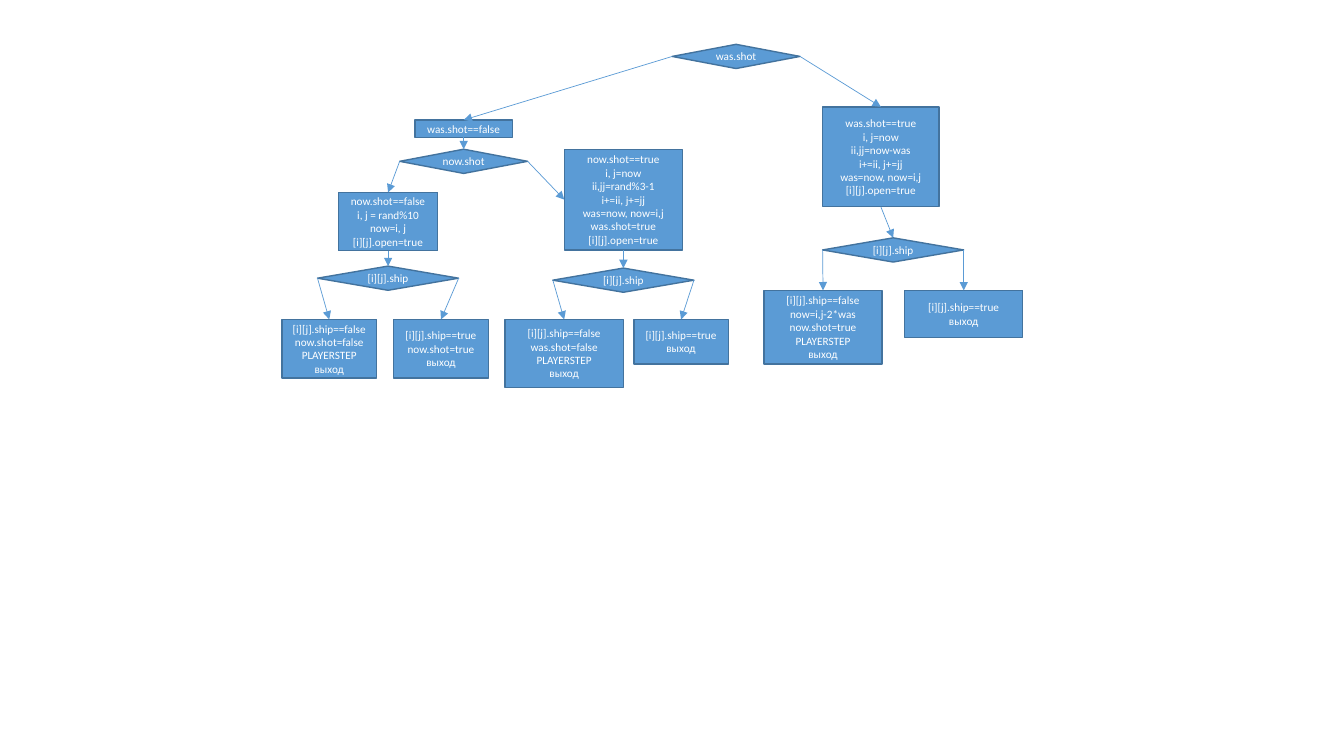
from lxml import etree
from pptx import Presentation
from pptx.dml.color import RGBColor
from pptx.enum.shapes import MSO_CONNECTOR, MSO_SHAPE
from pptx.enum.text import MSO_ANCHOR, PP_ALIGN
from pptx.oxml.ns import qn
from pptx.util import Pt

PROCESS = MSO_SHAPE.FLOWCHART_PROCESS
DECISION = MSO_SHAPE.FLOWCHART_DECISION
STRAIGHT = MSO_CONNECTOR.STRAIGHT
CENTER = PP_ALIGN.CENTER
MIDDLE = MSO_ANCHOR.MIDDLE
TOP, LEFT, BOTTOM, RIGHT = range(4)

BLUE, DARK_BLUE, WHITE = "5B9BD5", "43739E", "FFFFFF"
DECISION_HEIGHT = 17.3
SHOT_WIDTH, SHIP_WIDTH = 91.4, 100.8
WIDE, NARROW = 84.4, 67.5
LEAF_TOP, RIGHT_LEAF_TOP = 228.2, 207.4


def color(hex_string):
    """Return the colour for a hex string."""
    return RGBColor.from_string(hex_string)


def write_text(frame, text, size=8, font="Calibri", ink=WHITE, align=CENTER):
    """Fill a text frame with one paragraph for each line of text."""
    frame.word_wrap = True
    frame.vertical_anchor = MIDDLE
    for number, line in enumerate(text.split("\n")):
        paragraph = frame.add_paragraph() if number else frame.paragraphs[0]
        paragraph.alignment = align
        run = paragraph.add_run()
        run.text = line
        run.font.size = Pt(size)
        run.font.name = font
        run.font.color.rgb = color(ink)


def add_node(slide, kind, text, center, top, width, height):
    """Add a flowchart node placed by its horizontal centre and its top."""
    node = slide.shapes.add_shape(
        kind, Pt(center - width / 2), Pt(top), Pt(width), Pt(height))
    node.shadow.inherit = False
    node.fill.solid()
    node.fill.fore_color.rgb = color(BLUE)
    node.line.color.rgb = color(DARK_BLUE)
    node.line.width = Pt(1)
    write_text(node.text_frame, text)
    return node


def add_step(slide, text, center, top, width, height):
    """Add a process box."""
    return add_node(slide, PROCESS, text, center, top, width, height)


def add_decision(slide, text, center, top, width):
    """Add a decision diamond."""
    return add_node(slide, DECISION, text, center, top, width, DECISION_HEIGHT)


def add_arrow(slide, source, source_side, target, target_side=TOP):
    """Join the sides of two nodes with an arrow."""
    arrow = slide.shapes.add_connector(STRAIGHT, 0, 0, 0, 0)
    arrow.begin_connect(source, source_side)
    arrow.end_connect(target, target_side)
    arrow.line.color.rgb = color(BLUE)
    arrow.line.width = Pt(0.5)
    line = arrow.line._get_or_add_ln()
    etree.SubElement(line, qn("a:tailEnd"), type="triangle")
    etree.SubElement(arrow._element.spPr, qn("a:effectLst"))


def add_ship_check(slide, parent, center, top, miss, hit):
    """Add the ship decision below a step, with its miss and hit leaves."""
    ship = add_decision(slide, "[i][j].ship", center, top, SHIP_WIDTH)
    add_arrow(slide, parent, BOTTOM, ship)
    add_arrow(slide, ship, LEFT, add_step(slide, *miss))
    add_arrow(slide, ship, RIGHT, add_step(slide, *hit))


def main():
    """Build the flowchart slide."""
    deck = Presentation()
    deck.slide_width, deck.slide_height = Pt(960), Pt(540)
    slide = deck.slides.add_slide(deck.slide_layouts[6])

    was_shot = add_decision(slide, "was.shot", 525.8, 31.7, SHOT_WIDTH)
    was_false = add_step(slide, "was.shot==false", 331.2, 85.7, 69.4, 12.4)
    was_true = add_step(
        slide,
        "was.shot==true\ni, j=now\nii,jj=now-was\ni+=ii, j+=jj\n"
        "was=now, now=i,j\n[i][j].open=true",
        629.2, 76.3, 83, 71.4)
    now_shot = add_decision(slide, "now.shot", 331.2, 106.6, SHOT_WIDTH)
    now_false = add_step(
        slide, "now.shot==false\ni, j = rand%10\nnow=i, j\n[i][j].open=true",
        277.2, 137.5, 70.8, 41.6)
    now_true = add_step(
        slide,
        "now.shot==true\ni, j=now\nii,jj=rand%3-1\ni+=ii, j+=jj\n"
        "was=now, now=i,j\nwas.shot=true\n[i][j].open=true",
        445.3, 106.6, WIDE, 72)

    add_arrow(slide, was_shot, LEFT, was_false)
    add_arrow(slide, was_shot, RIGHT, was_true)
    add_arrow(slide, was_false, BOTTOM, now_shot)
    add_arrow(slide, now_shot, LEFT, now_false)
    add_arrow(slide, now_shot, RIGHT, now_true, LEFT)

    add_ship_check(
        slide, now_false, 277.2, 190.1,
        miss=("[i][j].ship==false\nnow.shot=false\nPLAYERSTEP\nвыход",
              235.2, LEAF_TOP, NARROW, 41.8),
        hit=("[i][j].ship==true now.shot=true\nвыход",
             315, LEAF_TOP, NARROW, 41.8))
    add_ship_check(
        slide, now_true, 445.3, 191.5,
        miss=("[i][j].ship==false\nwas.shot=false\nPLAYERSTEP\nвыход",
              403, LEAF_TOP, WIDE, 48.4),
        hit=("[i][j].ship==true\nвыход", 486.5, LEAF_TOP, NARROW, 31.8))
    add_ship_check(
        slide, was_true, 638, 169.9,
        miss=("[i][j].ship==false\nnow=i,j-2*was\nnow.shot=true\n"
              "PLAYERSTEP\nвыход", 587.9, RIGHT_LEAF_TOP, WIDE, 52.6),
        hit=("[i][j].ship==true\nвыход", 688.4, RIGHT_LEAF_TOP, WIDE, 33.6))

    deck.save("out.pptx")


if __name__ == "__main__":
    main()
